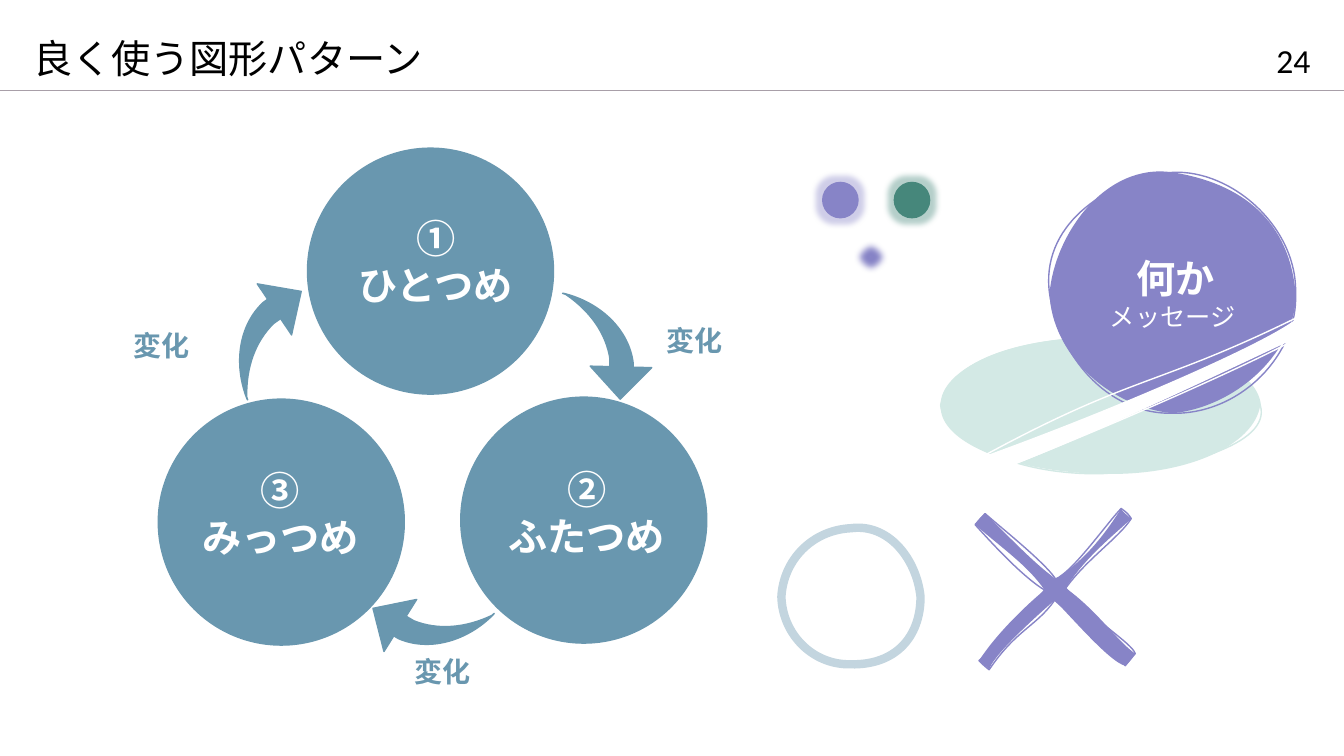
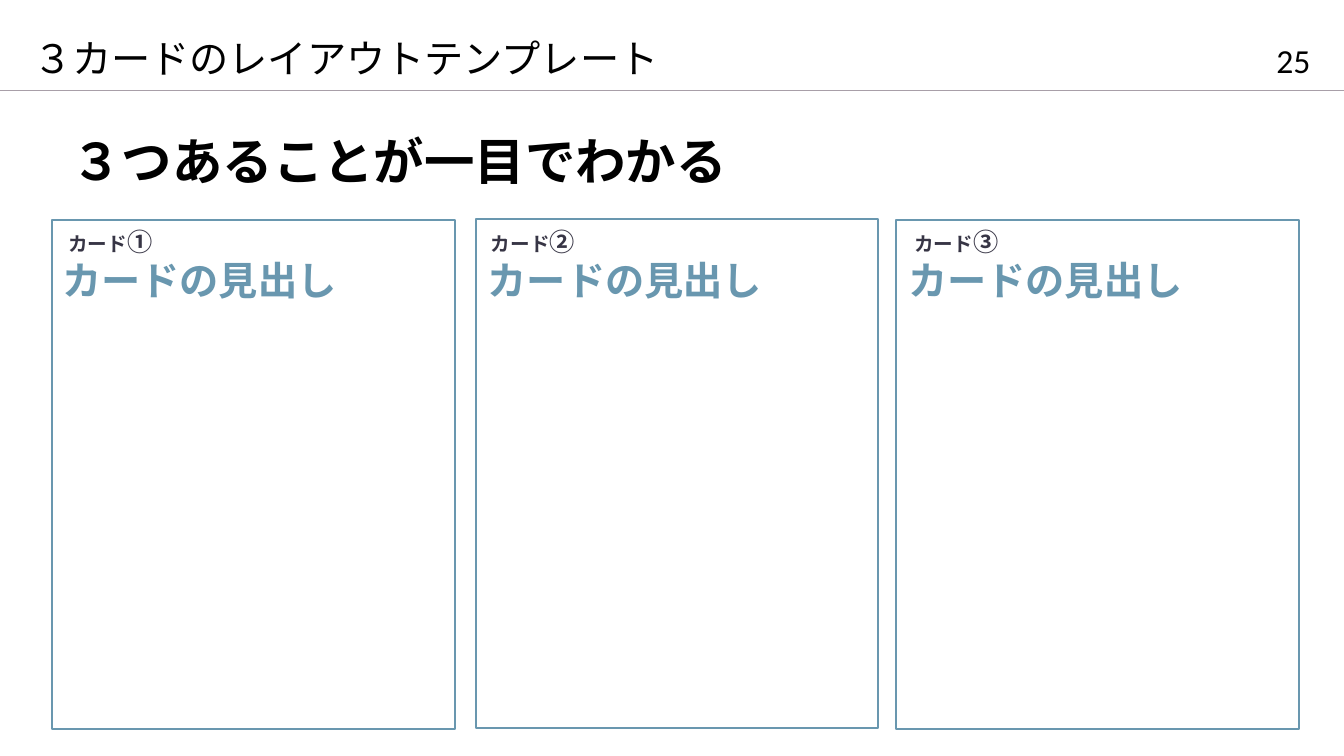
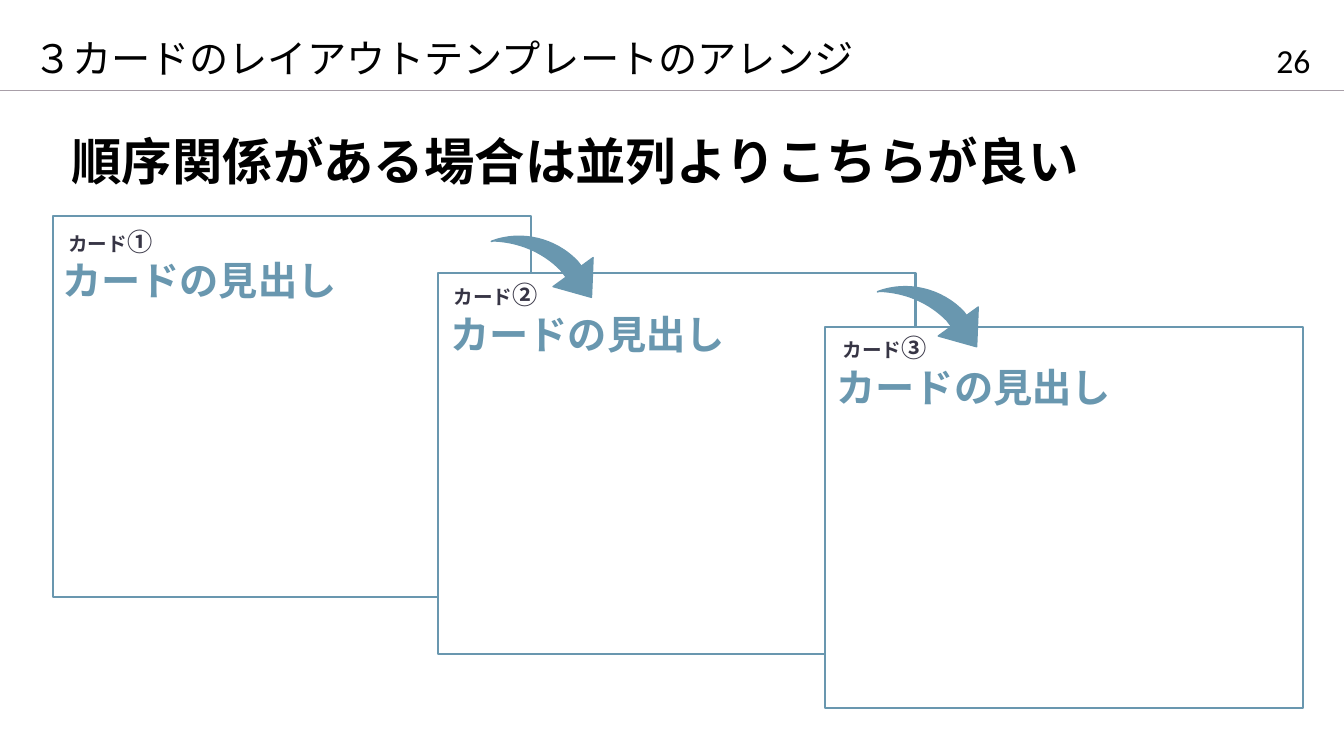
from dataclasses import dataclass
from math import cos, radians, sin

from lxml import etree
from pptx import Presentation
from pptx.dml.color import RGBColor
from pptx.enum.shapes import MSO_CONNECTOR, MSO_SHAPE
from pptx.enum.text import MSO_ANCHOR, PP_ALIGN
from pptx.oxml.ns import qn
from pptx.util import Inches, Pt

OVAL = MSO_SHAPE.OVAL
RECT = MSO_SHAPE.RECTANGLE
TRIANGLE = MSO_SHAPE.ISOSCELES_TRIANGLE
STRAIGHT = MSO_CONNECTOR.STRAIGHT
LEFT, CENTER = PP_ALIGN.LEFT, PP_ALIGN.CENTER
TOP, MIDDLE = MSO_ANCHOR.TOP, MSO_ANCHOR.MIDDLE


@dataclass(frozen=True)
class Theme:
    """Colours, fonts and type sizes shared by the slides."""

    black: str = "000000"
    white: str = "FFFFFF"
    dark: str = "373545"
    rule: str = "A89FA8"
    blue: str = "6997AF"
    pale_blue: str = "C3D5DF"
    purple: str = "8784C7"
    green: str = "46877B"
    pale_green: str = "D3E9E5"
    font: str = "Noto Sans CJK JP"
    number_font: str = "Calibri"
    message_font: str = "Arial"
    headline: int = 36
    title: int = 28
    number: int = 24
    note: int = 20
    small: int = 18
    tag: int = 14


ARROW_TAIL = [
    (6.05, 3.65), (6.28, 3.65), (6.28, 3.59),
    (6.24, 3.27, 5.96, 3, 5.59, 2.91), (5.58, 2.91), (5.61, 2.92),
    (5.85, 3.08, 6.01, 3.3, 6.05, 3.55),
]
PLATE_LINE = [
    (9.33, 4.02), (9.42, 3.56, 10.16, 3.36, 10.91, 3.35),
    (11.82, 3.4, 12.46, 3.65, 12.5, 4.02),
    (12.62, 4.41, 11.7, 4.66, 10.91, 4.7), (10, 4.71, 9.37, 4.34, 9.33, 4.02),
]
PLATE_BODY = [
    (9.33, 4.02), (9.32, 3.66, 10.03, 3.34, 10.91, 3.35),
    (11.85, 3.34, 12.47, 3.71, 12.5, 4.02),
    (12.44, 4.42, 11.76, 4.73, 10.91, 4.7), (10.07, 4.68, 9.31, 4.4, 9.33, 4.02),
]
BALL_LINE = [
    (10.41, 2.91), (10.32, 2.26, 10.92, 1.8, 11.63, 1.71),
    (12.22, 1.68, 12.87, 2.26, 12.85, 2.91),
    (12.88, 3.5, 12.32, 4.11, 11.63, 4.1), (10.97, 4.11, 10.5, 3.52, 10.41, 2.91),
]
BALL_BODY = [
    (10.41, 2.91), (10.46, 2.33, 10.96, 1.61, 11.63, 1.71),
    (12.33, 1.82, 12.79, 2.2, 12.85, 2.91),
    (12.87, 3.45, 12.3, 4.03, 11.63, 4.1), (10.97, 4.03, 10.43, 3.49, 10.41, 2.91),
]
SLASH_LINE = [
    (9.73, 4.54), (11.25, 3.71, 11.45, 3.85, 12.89, 3.14),
    (12.9, 3.2, 12.94, 3.26, 12.96, 3.31),
    (12.39, 3.63, 10.92, 4.27, 9.8, 4.71), (9.79, 4.68, 9.75, 4.59, 9.73, 4.54),
]
SLASH_BODY = [
    (9.73, 4.54), (10.96, 4.1, 12.62, 3.39, 12.89, 3.14),
    (12.91, 3.22, 12.95, 3.28, 12.96, 3.31),
    (12.59, 3.47, 10.74, 4.38, 9.8, 4.71), (9.79, 4.69, 9.75, 4.58, 9.73, 4.54),
]
CROSS_LINE = [
    (9.77, 5.1), (9.89, 5.21, 10.36, 5.58, 10.47, 5.75),
    (10.65, 5.67, 10.99, 5.18, 11.12, 5.05), (11.16, 5.08, 11.19, 5.1, 11.22, 5.15),
    (11.1, 5.34, 10.78, 5.55, 10.57, 5.84), (10.86, 6.18, 11.22, 6.38, 11.26, 6.49),
    (11.24, 6.51, 11.21, 6.55, 11.16, 6.61), (10.96, 6.31, 10.58, 6.08, 10.46, 5.96),
    (10.28, 6.22, 10.08, 6.25, 9.81, 6.65), (9.77, 6.62, 9.74, 6.59, 9.71, 6.56),
    (10.04, 6.25, 10.23, 6.02, 10.36, 5.86), (10.18, 5.75, 9.94, 5.51, 9.67, 5.21),
    (9.71, 5.17, 9.76, 5.11, 9.77, 5.1),
]
CROSS_BODY = [
    (9.77, 5.1), (10.04, 5.36, 10.23, 5.57, 10.47, 5.75),
    (10.7, 5.6, 10.9, 5.4, 11.12, 5.05), (11.13, 5.08, 11.17, 5.11, 11.22, 5.15),
    (11.1, 5.27, 10.77, 5.52, 10.57, 5.84), (10.89, 6.07, 11.09, 6.38, 11.26, 6.49),
    (11.23, 6.54, 11.21, 6.56, 11.16, 6.61), (11.02, 6.58, 10.68, 6.19, 10.46, 5.96),
    (10.23, 6.16, 9.84, 6.52, 9.81, 6.65), (9.79, 6.62, 9.75, 6.6, 9.71, 6.56),
    (9.91, 6.25, 10.26, 5.94, 10.36, 5.86), (10.2, 5.62, 9.92, 5.43, 9.67, 5.21),
    (9.69, 5.17, 9.75, 5.11, 9.77, 5.1),
]
RING = [
    (7.75, 5.92), (7.77, 5.56, 8.05, 5.26, 8.44, 5.24),
    (8.81, 5.19, 9.09, 5.54, 9.13, 5.92),
    (9.13, 6.32, 8.88, 6.6, 8.44, 6.59), (8.06, 6.6, 7.76, 6.29, 7.75, 5.92),
]


def unturn(segments, turn, center):
    """Rotate segments back by an angle, as lists of points."""
    c, s = cos(radians(turn)), sin(radians(turn))
    cx, cy = center
    return [
        [(cx + (x - cx) * c + (y - cy) * s, cy - (x - cx) * s + (y - cy) * c)
         for x, y in zip(seg[::2], seg[1::2])]
        for seg in segments
    ]


class Deck:
    """Holds the style and the current slide, and draws each kind of element."""

    def __init__(self, theme):
        """Start an empty wide presentation."""
        self.theme = theme
        self.prs = Presentation()
        self.prs.slide_width, self.prs.slide_height = Inches(13.33), Inches(7.5)
        self.s = None

    def page(self, number, title, headline=None):
        """Add a slide with its title band, page number and headline."""
        th = self.theme
        self.s = self.prs.slides.add_slide(self.prs.slide_layouts[6])
        self.text((12.56, 0.35, 0.61, 0.5), [str(number)], th.number, th.black,
                  bold=False, font=th.number_font, wrap=False)
        cxn = self.s.shapes.add_connector(
            STRAIGHT, 0, Inches(0.9), self.prs.slide_width, Inches(0.9))
        cxn.line.color.rgb = RGBColor.from_string(th.rule)
        cxn.line.width = Pt(1)
        etree.SubElement(cxn._element.spPr, qn("a:effectLst"))
        if headline:
            self.text((0.61, 1.11, 12.42, 1.03), [headline], th.headline, th.black,
                      spacing=0.9, anchor=MIDDLE)
        self.text((0.23, 0.38, 12.53, 0.51), [title], th.title, th.black,
                  bold=False, spacing=0.8)

    def style(self, font, size, color, bold=True, name=None):
        """Set a font for Latin and East Asian text."""
        font.size, font.bold = Pt(size), bold
        font.color.rgb = RGBColor.from_string(color)
        font.name = name or self.theme.font
        etree.SubElement(font._element, qn("a:ea"), typeface=font.name)

    def text(self, at, lines, size, color, bold=True, font=None, align=LEFT,
             spacing=None, anchor=TOP, wrap=True):
        """Add a text box with one style."""
        tf = self.s.shapes.add_textbox(*map(Inches, at)).text_frame
        tf.word_wrap, tf.vertical_anchor = wrap, anchor
        for i, line in enumerate(lines):
            p = tf.add_paragraph() if i else tf.paragraphs[0]
            p.text, p.alignment = line, align
            if spacing:
                p.line_spacing = spacing
            self.style(p.font, size, color, bold, font)

    def runs(self, p, parts, color):
        """Add runs of different sizes to a paragraph."""
        for words, size in parts:
            r = p.add_run()
            r.text = words
            self.style(r.font, size, color)

    def paint(self, sp, fill, line, width=1):
        """Set fill and line of a shape, and remove its shadow."""
        sp.shadow.inherit = False
        if fill:
            sp.fill.solid()
            sp.fill.fore_color.rgb = RGBColor.from_string(fill)
        else:
            sp.fill.background()
        sp.line.color.rgb = RGBColor.from_string(line)
        sp.line.width = Pt(width)
        return sp

    def shape(self, kind, at, fill, line=None, width=1):
        """Add a preset shape."""
        sp = self.s.shapes.add_shape(kind, *map(Inches, at))
        return self.paint(sp, fill, line or fill, width)

    def outline(self, figures, fill, line, width=1, turn=0, center=(0, 0)):
        """Add one freeform with a curved path for each figure."""
        figures = [(unturn(segs, turn, center), attrs) for segs, attrs in figures]
        ends = [tuple(map(Inches, seg[-1])) for segs, _ in figures for seg in segs]
        fb = self.s.shapes.build_freeform(*ends[0])
        fb.add_line_segments(ends[1:], close=True)
        sp = fb.convert_to_shape()
        paths = sp._element.spPr.find(qn("a:custGeom")).find(qn("a:pathLst"))
        paths.remove(paths[0])
        for segs, attrs in figures:
            path = etree.SubElement(paths, qn("a:path"), w=str(sp.width),
                                    h=str(sp.height), **attrs)
            for i, seg in enumerate(segs):
                kind = "cubicBezTo" if len(seg) == 3 else "lnTo" if i else "moveTo"
                step = etree.SubElement(path, qn(f"a:{kind}"))
                for x, y in seg:
                    etree.SubElement(step, qn("a:pt"), x=str(Inches(x) - sp.left),
                                     y=str(Inches(y) - sp.top))
            etree.SubElement(path, qn("a:close"))
        sp.rotation = turn
        return self.paint(sp, fill, line, width)

    def sketch(self, stroke, body, color, turn=0, center=(0, 0)):
        """Add a hand-drawn figure: a loose stroke and a filled body."""
        figures = [(stroke, {"fill": "none"}), (body, {"stroke": "0"})]
        return self.outline(figures, color, color, 1, turn, center)

    def dot(self, at, color, effect, radius):
        """Add a dot with a glow or a soft edge."""
        sp = self.shape(OVAL, at, color)
        effects = sp._element.spPr.find(qn("a:effectLst"))
        el = etree.SubElement(effects, qn(f"a:{effect}"), rad=str(Pt(radius)))
        if effect == "glow":
            clr = etree.SubElement(el, qn("a:srgbClr"), val=color)
            etree.SubElement(clr, qn("a:alpha"), val="40000")

    def arrow(self, head, tail, turn):
        """Add a curved arrow made of a triangle and a bent tail."""
        blue = self.theme.blue
        self.shape(TRIANGLE, head, blue).rotation = (turn + 181.4) % 360
        sp = self.outline([(ARROW_TAIL, {})], blue, blue)
        sp.left, sp.top, sp.width, sp.height = map(Inches, tail)
        sp.rotation = turn

    def step(self, circle, label, lines):
        """Add a numbered circle of the cycle."""
        th = self.theme
        self.shape(OVAL, (*circle, 2.44, 2.44), th.blue)
        self.text((*label, 2.62, 1.04), lines, th.title, th.white, align=CENTER)

    def ball(self, heading, message):
        """Add the hand-drawn ball with its message."""
        th = self.theme
        tf = self.sketch(BALL_LINE, BALL_BODY, th.purple).text_frame
        tf.word_wrap, tf.vertical_anchor = True, MIDDLE
        p = tf.paragraphs[0]
        p.alignment = CENTER
        self.runs(p, ((" ", th.small), (heading, th.title)), th.white)
        p = tf.add_paragraph()
        p.text, p.alignment = message, CENTER
        self.style(p.font, th.small, th.white, False, th.message_font)

    def cards(self, corners, size, labels):
        """Add the card frames, then a tag and a heading on each."""
        th = self.theme
        for corner in corners:
            self.shape(RECT, (*corner, *size), th.white, th.blue, 1.5)
        for mark, (tag, heading) in zip("①②③", labels):
            tf = self.s.shapes.add_textbox(*map(Inches, (*tag, 1.04, 0.4))).text_frame
            tf.word_wrap = False
            self.runs(tf.paragraphs[0], (("カード", th.tag), (mark, th.small)), th.dark)
            self.text((*heading, 2.95, 0.57), ["カードの見出し"],
                      th.title, th.blue, wrap=False)


def patterns(deck):
    """Build the slide of common figures."""
    th = deck.theme
    deck.page(24, "良く使う図形パターン")
    deck.step((3.05, 1.47), (3.01, 2.08), ["①", "ひとつめ"])
    deck.step((1.57, 3.96), (1.47, 4.58), ["③", "みっつめ"])
    deck.step((4.57, 3.94), (4.51, 4.57), ["➁", "ふたつめ"])
    cycle = (
        ((5.85, 3.64), (5.58, 2.91), 0),
        ((3.53, 5.96), (4.05, 5.82), 120.7),
        ((2.55, 2.82), (2.21, 3.09), 234.7),
    )
    for head, tail, turn in cycle:
        deck.arrow((*head, 0.61, 0.32), (*tail, 0.7, 0.75), turn)
    for note in ((5.96, 3.16), (3.46, 6.44), (0.67, 3.21)):
        deck.text((*note, 1.86, 0.44), ["変化"], th.note, th.blue, align=CENTER)
    deck.dot((8.16, 1.81, 0.35, 0.35), th.purple, "glow", 8)
    deck.dot((8.87, 1.81, 0.35, 0.35), th.green, "glow", 8)
    deck.dot((8.45, 2.37, 0.38, 0.36), th.purple, "softEdge", 5)
    deck.sketch(PLATE_LINE, PLATE_BODY, th.pale_green)
    deck.ball("何か", "メッセージ")
    deck.sketch(SLASH_LINE, SLASH_BODY, th.white, 336.2, (11.35, 3.92))
    deck.sketch(CROSS_LINE, CROSS_BODY, th.purple, 43.2, (10.46, 5.85))
    deck.outline([(RING, {})], None, th.pale_blue, 6)


def parallel_cards(deck):
    """Build the slide of three cards side by side."""
    deck.page(25, "３カードのレイアウトテンプレート", "３つあることが一目でわかる")
    labels = [((tag, 2.2), (heading, 2.49))
              for tag, heading in ((0.58, 0.52), (4.77, 4.74), (8.97, 8.91))]
    deck.cards(((0.52, 2.18), (4.72, 2.17), (8.89, 2.18)), (3.99, 5.05), labels)


def stepped_cards(deck):
    """Build the slide of three cards in order."""
    deck.page(26, "３カードのレイアウトテンプレートのアレンジ",
              "順序関係がある場合は並列よりこちらが良い")
    labels = (
        ((0.58, 2.2), (0.52, 2.49)),
        ((4.4, 2.72), (4.37, 3.03)),
        ((8.26, 3.25), (8.2, 3.56)),
    )
    deck.cards(((0.53, 2.14), (4.34, 2.71), (8.18, 3.24)), (4.74, 3.78), labels)
    for head, tail in (((5.53, 2.67), (5.04, 2.15)), ((9.35, 3.16), (8.87, 2.65))):
        deck.arrow((*head, 0.49, 0.31), (*tail, 0.56, 0.74), 322.6)


def main():
    """Build and save the slides."""
    deck = Deck(Theme())
    patterns(deck)
    parallel_cards(deck)
    stepped_cards(deck)
    deck.prs.save("out.pptx")


if __name__ == "__main__":
    main()
